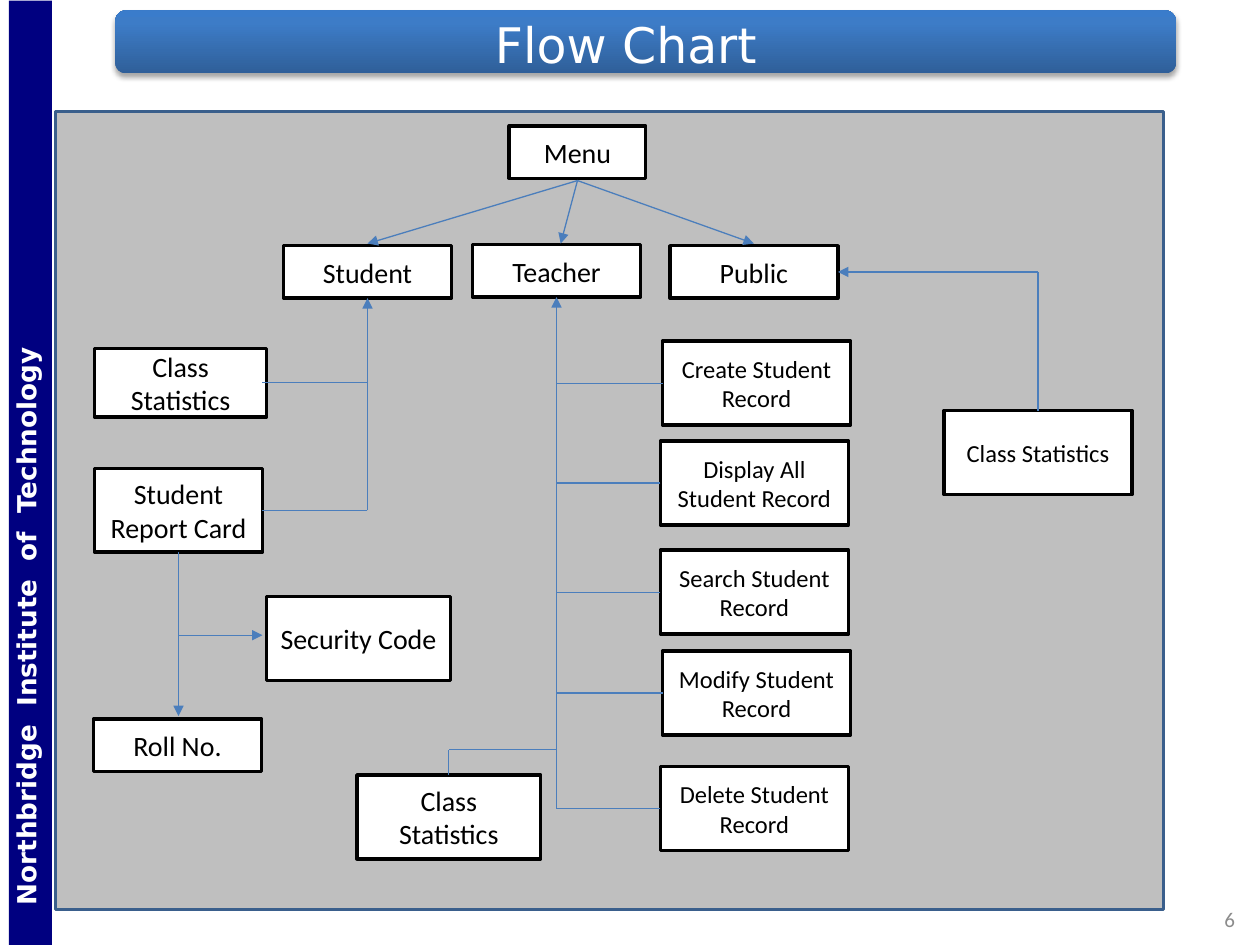
from dataclasses import dataclass

import pptx
import pptx.dml.color
import pptx.enum.shapes
import pptx.enum.text
import pptx.oxml
import pptx.oxml.ns
import pptx.util

RGB = pptx.dml.color.RGBColor
SHAPE = pptx.enum.shapes.MSO_SHAPE
ALIGN = pptx.enum.text.PP_ALIGN
ANCHOR = pptx.enum.text.MSO_ANCHOR
NS = pptx.oxml.ns.nsdecls("a")

WHITE = RGB(0xFF, 0xFF, 0xFF)
BLACK = RGB(0, 0, 0)
NAVY = RGB(0, 0, 0x80)
PANEL_GRAY = RGB(0xBF, 0xBF, 0xBF)
PANEL_EDGE = RGB(0x3A, 0x5F, 0x8C)
ARROW_BLUE = RGB(0x4B, 0x7E, 0xBC)
NUMBER_GRAY = RGB(0x8C, 0x8C, 0x8C)
BANNER_STOPS = ((0, RGB(0x2F, 0x5F, 0x99)), (80, RGB(0x3D, 0x7C, 0xC7)),
                (100, RGB(0x3A, 0x7C, 0xCB)))

# The slide is a grid of 120 columns and 90 rows
COLS, ROWS = 120, 90
WIDTH, HEIGHT = pptx.util.Inches(10), pptx.util.Inches(7.5)


@dataclass
class Box:
    text: str
    col: float
    row: float
    cols: float = 16
    rows: float = 5
    size: int = 16

    @property
    def mid_col(self) -> float:
        return self.col + self.cols / 2

    @property
    def mid_row(self) -> float:
        return self.row + self.rows / 2

    @property
    def bottom(self) -> float:
        return self.row + self.rows


@dataclass
class Link:
    col1: float
    row1: float
    col2: float
    row2: float
    arrow: bool = False


def x(col: float) -> int:
    return round(WIDTH * col / COLS)


def y(row: float) -> int:
    return round(HEIGHT * row / ROWS)


def style_text(sp, text: str, size: int, color, font: str = "Calibri",
               align=ALIGN.CENTER, bold: bool = False) -> None:
    tf = sp.text_frame
    tf.word_wrap = True
    tf.vertical_anchor = ANCHOR.MIDDLE
    tf.text = text
    p = tf.paragraphs[0]
    p.alignment = align
    r = p.runs[0]
    r.font.size, r.font.name, r.font.bold = pptx.util.Pt(size), font, bold
    r.font.color.rgb = color


def add_block(s, kind, col: float, row: float, cols: float, rows: float,
              fill=None, edge=None):
    sp = s.shapes.add_shape(kind, x(col), y(row), x(cols), y(rows))
    sp.shadow.inherit = False
    if fill is not None:
        sp.fill.solid()
        sp.fill.fore_color.rgb = fill
    if edge is None:
        sp.line.fill.background()
    else:
        sp.line.color.rgb = edge
        sp.line.width = pptx.util.Pt(2)
    return sp


def add_box(s, box: Box) -> None:
    sp = add_block(s, SHAPE.RECTANGLE, box.col, box.row, box.cols, box.rows, WHITE, BLACK)
    style_text(sp, box.text, box.size, BLACK)


def add_link(s, link: Link) -> None:
    line = s.shapes.add_connector(pptx.enum.shapes.MSO_CONNECTOR.STRAIGHT, x(link.col1),
                                  y(link.row1), x(link.col2), y(link.row2))
    line.line.color.rgb = ARROW_BLUE
    line.line.width = pptx.util.Pt(0.75)
    if link.arrow:
        line.line._get_or_add_ln().append(
            pptx.oxml.parse_xml(f'<a:tailEnd {NS} type="triangle"/>'))
    line._element.spPr.append(pptx.oxml.parse_xml(f"<a:effectLst {NS}/>"))


def add_banner(s) -> None:
    sp = add_block(s, SHAPE.ROUNDED_RECTANGLE, 11, 1, 101, 6)
    spPr = sp._element.spPr
    stops = "".join(f'<a:gs pos="{pos * 1000}"><a:srgbClr val="{color}"/></a:gs>'
                    for pos, color in BANNER_STOPS)
    spPr.find(pptx.oxml.ns.qn("a:prstGeom")).addnext(pptx.oxml.parse_xml(
        f'<a:gradFill {NS} rotWithShape="1"><a:gsLst>{stops}</a:gsLst>'
        '<a:lin ang="16200000" scaled="0"/></a:gradFill>'))
    spPr.find(pptx.oxml.ns.qn("a:effectLst")).append(pptx.oxml.parse_xml(
        f'<a:outerShdw {NS} blurRad="40000" dist="23000" dir="5400000" rotWithShape="0">'
        '<a:srgbClr val="000000"><a:alpha val="35000"/></a:srgbClr></a:outerShdw>'))


def add_side_band(s) -> None:
    sp = add_block(s, SHAPE.RECTANGLE, -42.1, 43, 90, 4.1, NAVY)
    sp.rotation = 270
    style_text(sp, "Northbridge  Institute  of  Technology", 15, WHITE, "DejaVu Sans",
               ALIGN.LEFT, True)
    tf = sp.text_frame
    tf.vertical_anchor = ANCHOR.TOP
    tf.margin_left = pptx.util.Inches(0.32)
    tf.margin_top, tf.margin_bottom = pptx.util.Inches(0.01), pptx.util.Inches(0.07)


# Boxes of the chart
menu = Box("Menu", 48.5, 12, cols=13)
student = Box("Student", 27, 23.4)
teacher = Box("Teacher", 45, 23.3)
public = Box("Public", 63.8, 23.4)
report = Box("Student Report Card", 9, 44.6, rows=8)
student_stats = Box("Class Statistics", 9, 33.2, 16.4, 6.5)
roll = Box("Roll No.", 8.9, 68.5)
security = Box("Security Code", 25.4, 56.8, 17.5, 8)
teacher_stats = Box("Class Statistics", 34, 73.8, 17.5, 8)
public_stats = Box("Class Statistics", 89.9, 39.1, 17.9, 8, 14)
actions = [Box(f"{verb} Student Record", col, row, 17.9, 8, 14)
           for verb, col, row in (("Create", 63.1, 32.5), ("Display All", 62.9, 42),
                                  ("Search", 62.9, 52.4), ("Modify", 63.1, 62),
                                  ("Delete", 62.9, 73))]
boxes = [menu, student, teacher, public, report, student_stats, roll, security,
         teacher_stats, public_stats, *actions]

# Lines: menu to roles, then the tree under each role
ROLE_TOP, STATS_ROW = 23.2, 71.4
report_right = report.col + report.cols
public_right = public.col + public.cols
links = [Link(menu.mid_col, 17.2, col, ROLE_TOP, True)
         for col in (student.mid_col, teacher.mid_col + 0.4, public.mid_col)]
links += [Link(student.mid_col, report.mid_row, student.mid_col, student.bottom, True)]
links += [Link(student.mid_col, box.mid_row, report_right, box.mid_row)
          for box in (student_stats, report)]
links += [
    Link(report.mid_col, report.bottom, report.mid_col, 68.2, True),
    Link(report.mid_col, 60.5, 25, 60.5, True),
    Link(teacher.mid_col, actions[-1].mid_row, teacher.mid_col, teacher.bottom, True),
    Link(teacher.mid_col, STATS_ROW, teacher_stats.mid_col, STATS_ROW),
    Link(teacher_stats.mid_col, teacher_stats.row, teacher_stats.mid_col, STATS_ROW),
    Link(public_stats.mid_col, public.mid_row, public_right, public.mid_row, True),
    Link(public_stats.mid_col, public_stats.row, public_stats.mid_col, public.mid_row),
]
links += [Link(box.col, box.mid_row, teacher.mid_col, box.mid_row) for box in actions]


def main() -> None:
    prs = pptx.Presentation()
    prs.slide_width, prs.slide_height = WIDTH, HEIGHT
    s = prs.slides.add_slide(prs.slide_layouts[5])

    # Backdrop
    add_banner(s)
    add_side_band(s)
    add_block(s, SHAPE.RECTANGLE, 5.3, 10.6, 105.5, 76, PANEL_GRAY, PANEL_EDGE)

    # Title, raised above the banner
    title = s.shapes.title
    title.left, title.top, title.width, title.height = x(21.6), 0, x(76), y(8.4)
    style_text(title, "Flow Chart", 28, WHITE, "DejaVu Sans")
    title._element.getparent().append(title._element)

    # Page number
    number = s.shapes.add_textbox(x(91.2), y(85.8), x(27.6), y(3.4))
    style_text(number, "6", 12, NUMBER_GRAY, align=ALIGN.RIGHT)

    # Chart
    for box in boxes:
        add_box(s, box)
    for link in links:
        add_link(s, link)
    prs.save("out.pptx")


if __name__ == "__main__":
    main()
